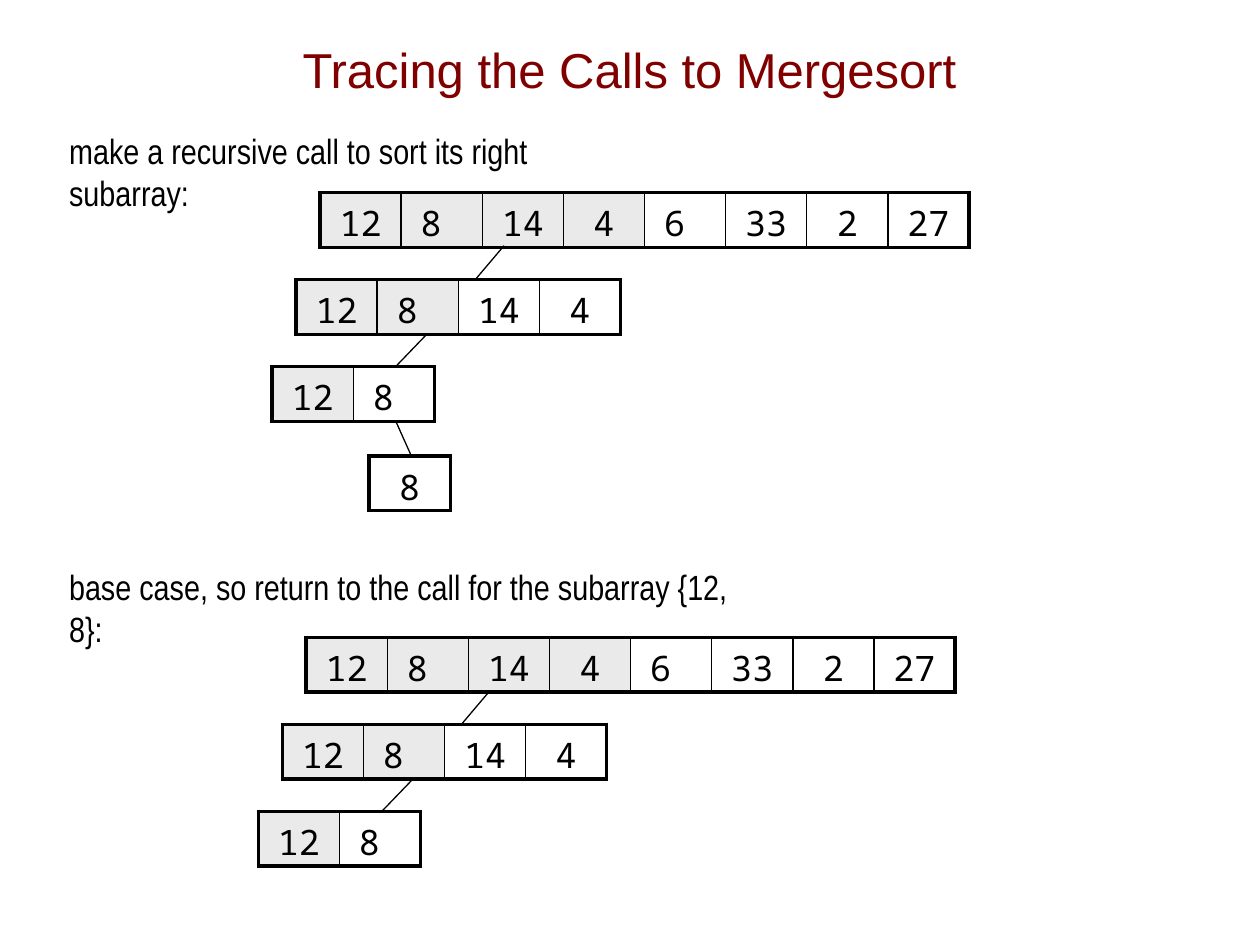
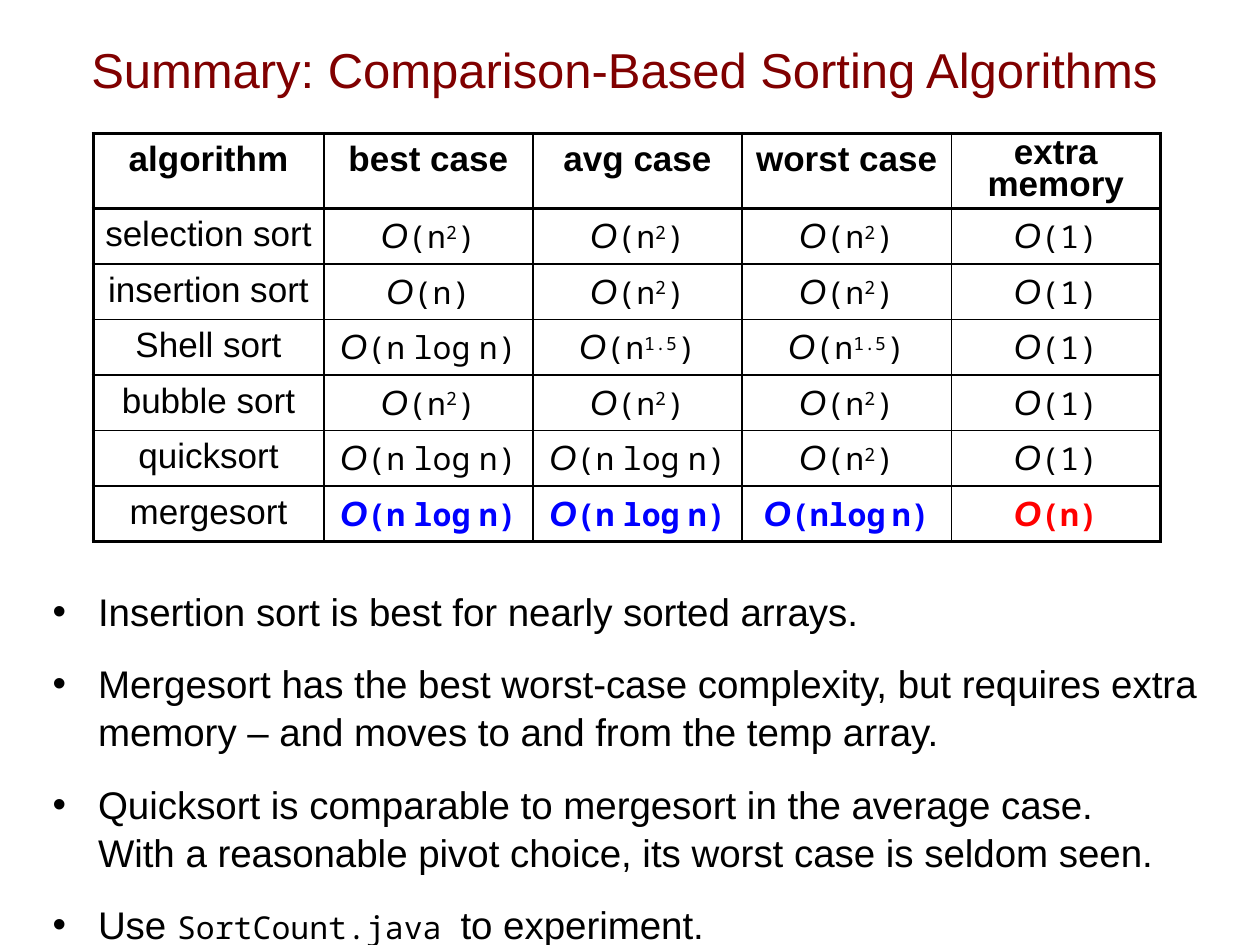
from pptx import Presentation
from pptx.dml.color import RGBColor
from pptx.enum.shapes import MSO_CONNECTOR
from pptx.enum.text import MSO_ANCHOR, PP_ALIGN
from pptx.oxml.ns import qn
from pptx.util import Emu, Pt
from lxml.etree import SubElement

SCALE = 9144  # EMU per px, 100 px to the inch
INK = {"title": "800000", "text": "000000", "done": "EAEAEA",
       "best": "0000FF", "cost": "FF0000"}
SANS, SLIM, MONO = "Arial", "Arial Narrow", "Noto Sans Mono"
THICK, THIN = 2.25, 1

# Trace of the calls: values, shaded cells, and the step to the next array
COL = 64.4
CALLS = [
    (["12", "8 ", "14", "4", "6 ", "33", "2", "27"], 4, (-19, 69)),
    (["12", "8 ", "14", "4"], 2, (-19, 69)),
    (["12", "8 "], 1, (77, 71)),
    (["8"], 0, None),
]
# Ends of the link below each array, measured from its top left corner
LINKS = [(146, 42, 124, 68), (104, 43, 79, 69), (98, 43, 111, 72)]

HEADS = ["algorithm", "best case", "avg case", "worst case", "extra memory"]
SORTS = [
    ["selection sort", "(n^2)", "(n^2)", "(n^2)", "(1)"],
    ["insertion sort", "(n)", "(n^2)", "(n^2)", "(1)"],
    ["Shell sort", "(n log n)", "(n^1.5)", "(n^1.5)", "(1)"],
    ["bubble sort", "(n^2)", "(n^2)", "(n^2)", "(1)"],
    ["quicksort", "(n log n)", "(n log n)", "(n^2)", "(1)"],
    ["mergesort", "(n log n)", "(n log n)", "(nlog n)", "(n)"],
]
POINTS = [
    [("Insertion sort is best for nearly sorted arrays.", SANS, 22)],
    [("Mergesort has the best worst-case complexity, but requires extra "
      "memory – and moves to and from the temp array.", SANS, 22)],
    [("Quicksort is comparable to mergesort in the average case.\v"
      "With a reasonable pivot choice, its worst case is seldom seen.",
      SANS, 22)],
    [("Use ", SANS, 22), ("SortCount.java ", MONO, 18),
     ("to experiment.", SANS, 22)],
]


def px(*nums):
    return [Emu(round(n * SCALE)) for n in nums]


def add_run(para, text, name=SANS, size=20, ink="text", **more):
    """Add text to a paragraph; a \\v in it is a line break."""
    for i, part in enumerate(text.split("\v")):
        if i:
            para.add_line_break()
        run = para.add_run()
        run.text = part
        look = {"name": name, "size": Pt(size), "bold": False, **more}
        for key, value in look.items():
            setattr(run.font, key, value)
        run.font.color.rgb = RGBColor.from_string(INK[ink])
    return run


def add_title(deck, text, x, width):
    slide = deck.slides.add_slide(deck.slide_layouts[5])
    title = slide.shapes.title
    title.left, title.top, title.width, title.height = px(x, 8, width, 93)
    frame = title.text_frame
    frame.vertical_anchor = MSO_ANCHOR.MIDDLE
    para = frame.paragraphs[0]
    para.alignment = PP_ALIGN.CENTER
    add_run(para, text, size=28, ink="title")
    return slide


def add_box(slide, x, y, width, height):
    frame = slide.shapes.add_textbox(*px(x, y, width, height)).text_frame
    frame.word_wrap = True
    return frame


def add_note(slide, text, x, y, width):
    add_run(add_box(slide, x, y, width, 43).paragraphs[0], text, SLIM)


def add_grid(slide, rows, cols, x, y, width, height):
    shape = slide.shapes.add_table(rows, cols, *px(x, y, width, height))
    grid = shape.table
    grid.first_row = grid.horz_banding = False
    return grid


def add_edges(cell, left, right, top, bottom):
    props = cell._tc.get_or_add_tcPr()
    for side, points in zip("LRTB", (left, right, top, bottom)):
        line = SubElement(props, qn("a:ln" + side), w=str(Pt(points)))
        fill = SubElement(line, qn("a:solidFill"))
        SubElement(fill, qn("a:srgbClr"), val=INK["text"])


def frame_cells(grid, heads=0):
    """Thick lines round the grid and under its heads, thin lines inside."""
    rows, cols = len(grid.rows), len(grid.columns)
    heavy = {0, heads, rows}
    for r in range(rows):
        for c in range(cols):
            cell = grid.cell(r, c)
            add_edges(cell, THIN if c else THICK,
                      THIN if c < cols - 1 else THICK,
                      THICK if r in heavy else THIN,
                      THICK if r + 1 in heavy else THIN)
            cell.fill.background()
            cell.text_frame.paragraphs[0].alignment = PP_ALIGN.CENTER


def add_array(slide, values, done, x, y):
    grid = add_grid(slide, 1, len(values), x, y, len(values) * COL, 43)
    frame_cells(grid)
    for i, value in enumerate(values):
        cell = grid.cell(0, i)
        if i < done:
            cell.fill.solid()
            cell.fill.fore_color.rgb = RGBColor.from_string(INK["done"])
        if len(values) == 1:
            cell.margin_bottom = 0
        add_run(cell.text_frame.paragraphs[0], value, MONO)


def add_link(slide, *ends):
    link = slide.shapes.add_connector(MSO_CONNECTOR.STRAIGHT, *px(*ends))
    link.line.width = Pt(0.75)
    link.line.color.rgb = RGBColor.from_string(INK["text"])
    SubElement(link._element.spPr, qn("a:effectLst"))


def add_trace(slide, x, y, depth):
    spots = []
    for values, done, step in CALLS[:depth]:
        add_array(slide, values, done, x, y)
        spots.append((x, y))
        if step:
            x, y = x + step[0], y + step[1]
    for (left, top), (x1, y1, x2, y2) in zip(spots[:-1], LINKS):
        add_link(slide, left + x1, top + y1, left + x2, top + y2)


def add_order(para, text, ink, bold):
    """Write O(...) with narrow gaps and a raised power."""
    add_run(para, "O", ink=ink, bold=bold, italic=True)
    look = {"name": MONO, "ink": ink, "bold": bold}
    base, mark, power = text.partition("^")
    gap = 6 if "nlog" in base else 8
    for i, word in enumerate(base.split(" ")):
        if i:
            add_run(para, " ", size=gap, **look)
        add_run(para, word, size=18, **look)
    if mark:
        run = add_run(para, power.rstrip(")"), size=18, **look)
        run._r.get_or_add_rPr().set("baseline", "30000")
        add_run(para, ")", size=18, **look)


def add_costs(slide, x, y):
    grid = add_grid(slide, len(SORTS) + 1, len(HEADS), x, y, 847, 324)
    for i, col in enumerate(grid.columns):
        col.width = px(166 if i else 183)[0]
    for i, row in enumerate(grid.rows):
        row.height = px(44 if i else 59)[0]
    frame_cells(grid, heads=1)
    for c, head in enumerate(HEADS):
        para = grid.cell(0, c).text_frame.paragraphs[0]
        add_run(para, head, bold=True)
    para.line_spacing = 0.8
    for r, (name, *orders) in enumerate(SORTS, 1):
        cell = grid.cell(r, 0)
        cell.margin_left = cell.margin_right = 0
        add_run(cell.text_frame.paragraphs[0], name)
        last = r == len(SORTS)
        for c, order in enumerate(orders, 1):
            ink = "text"
            if last:
                ink = "cost" if c == len(orders) else "best"
            para = grid.cell(r, c).text_frame.paragraphs[0]
            add_order(para, order, ink, last)


def add_points(slide, x, y, width, height):
    frame = add_box(slide, x, y, width, height)
    for i, parts in enumerate(POINTS):
        para = frame.add_paragraph() if i else frame.paragraphs[0]
        props = para._p.get_or_add_pPr()
        indent = px(36)[0]
        props.set("marL", str(indent))
        props.set("indent", str(-indent))
        SubElement(props, qn("a:buFont"), typeface=SANS)
        SubElement(props, qn("a:buChar"), char="•")
        para.line_spacing = 1.04
        if i:
            para.space_before = Pt(14)
        for text, name, size in parts:
            add_run(para, text, name, size)


def main():
    deck = Presentation()
    deck.slide_width, deck.slide_height = px(1000, 750)

    # Calls to mergesort
    slide = add_title(deck, "Tracing the Calls to Mergesort", 75, 849)
    add_note(slide, "make a recursive call to sort its right subarray:",
             45, 98, 485)
    add_trace(slide, 254, 153, 4)
    add_note(slide, "base case, so return to the call for the subarray "
             "{12, 8}:", 45, 444, 574)
    add_trace(slide, 243, 506, 3)

    # Comparison of the sorts
    slide = add_title(deck, "Summary: Comparison-Based Sorting Algorithms",
                      33, 925)
    add_costs(slide, 74, 106)
    add_points(slide, 32, 460, 960, 288)

    deck.save("out.pptx")


if __name__ == "__main__":
    main()
